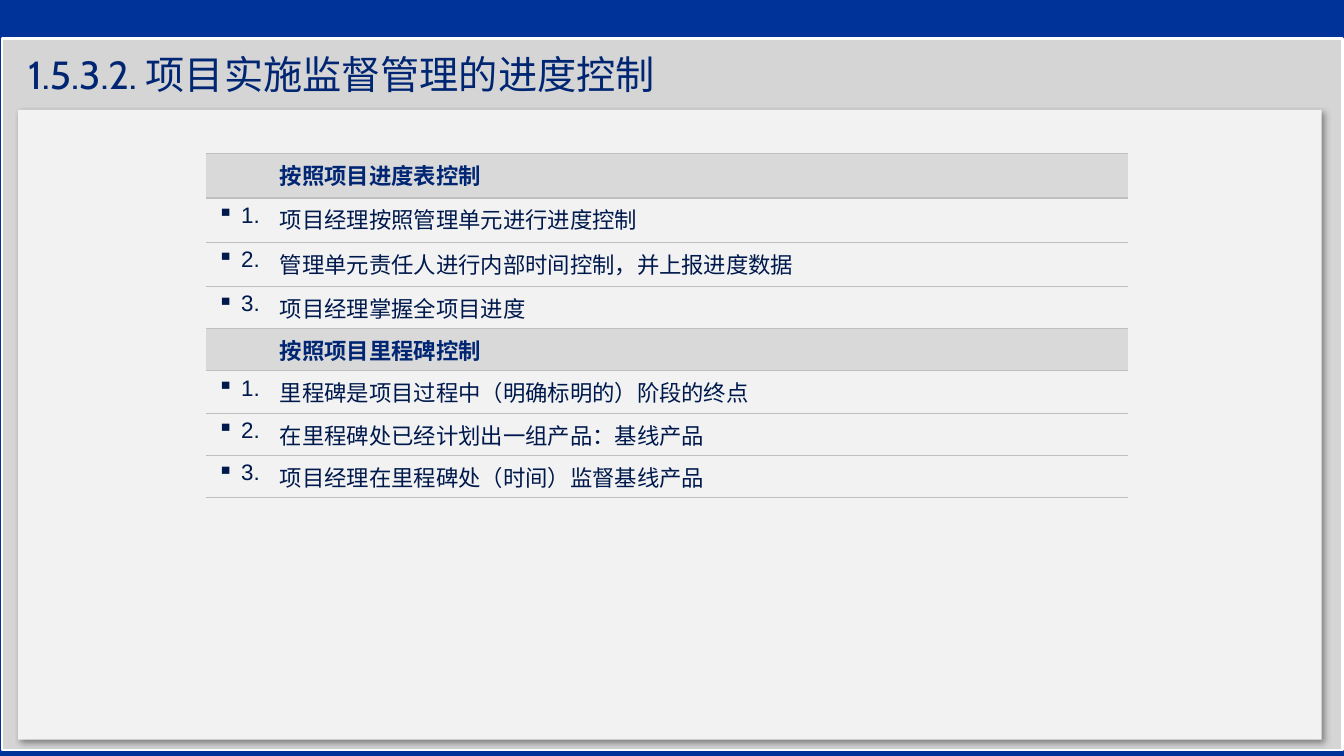
from lxml import etree
from pptx import Presentation
from pptx import util as u
from pptx.dml.color import RGBColor
from pptx.enum import shapes, text
from pptx.oxml.ns import qn

BLUE = RGBColor(0x00, 0x33, 0x99)
FRAME_GRAY = RGBColor(0xD5, 0xD5, 0xD5)
PANEL_GRAY = RGBColor(0xF2, 0xF2, 0xF2)
HEADER_GRAY = RGBColor(0xD9, 0xD9, 0xD9)
RULE_GRAY = RGBColor(0xBF, 0xBF, 0xBF)
WHITE = RGBColor(0xFF, 0xFF, 0xFF)
BLACK = RGBColor(0x00, 0x00, 0x00)
TITLE_NAVY = RGBColor(0x00, 0x26, 0x73)
BODY_NAVY = RGBColor(0x00, 0x19, 0x4C)

SECTIONS = [
    ("按照项目进度表控制", [
        "项目经理按照管理单元进行进度控制",
        "管理单元责任人进行内部时间控制，并上报进度数据",
        "项目经理掌握全项目进度",
    ]),
    ("按照项目里程碑控制", [
        "里程碑是项目过程中（明确标明的）阶段的终点",
        "在里程碑处已经计划出一组产品：基线产品",
        "项目经理在里程碑处（时间）监督基线产品",
    ]),
]


def add_xml(parent, tag, **attrs):
    return etree.SubElement(parent, qn(tag), {k: str(v) for k, v in attrs.items()})


class SlideBuilder:
    title_font, body_font = "Cabin", "Arial"
    title_size, body_size = 28, 16
    bullet_indent = 17

    def __init__(self, prs):
        self.slide = prs.slides.add_slide(prs.slide_layouts[6])

    def background(self, color):
        fill = self.slide.background.fill
        fill.solid()
        fill.fore_color.rgb = color

    def rect(self, x, y, w, h, color, line=None):
        sp = self.slide.shapes.add_shape(
            shapes.MSO_SHAPE.RECTANGLE, u.Pt(x), u.Pt(y), u.Pt(w), u.Pt(h))
        sp.shadow.inherit = False
        sp.fill.solid()
        sp.fill.fore_color.rgb = color
        if line is None:
            sp.line.fill.background()
        else:
            sp.line.color.rgb = line
            sp.line.width = u.Pt(2)
        return sp

    def shadow(self, sp, blur, dist, angle, alpha):
        effects = sp._element.spPr.find(qn("a:effectLst"))
        outer = add_xml(effects, "a:outerShdw", blurRad=u.Pt(blur), dist=u.Pt(dist),
                        dir=angle * 60000, algn="tl", rotWithShape=0)
        color = add_xml(outer, "a:srgbClr", val=BLACK)
        add_xml(color, "a:alpha", val=alpha * 1000)

    def style(self, p, font, size, color, bold=False):
        for r in p.runs:
            r.font.name = font
            r.font.size = u.Pt(size)
            r.font.color.rgb = color
            r.font.bold = bold

    def title(self, x, y, w, h, words):
        tf = self.slide.shapes.add_textbox(u.Pt(x), u.Pt(y), u.Pt(w), u.Pt(h)).text_frame
        tf.word_wrap = True
        tf.vertical_anchor = text.MSO_ANCHOR.MIDDLE
        tf.text = words
        self.style(tf.paragraphs[0], self.title_font, self.title_size, TITLE_NAVY)

    def bullet(self, p):
        pPr = p._p.get_or_add_pPr()
        pPr.set("marL", str(u.Pt(self.bullet_indent)))
        pPr.set("indent", str(-u.Pt(self.bullet_indent)))
        add_xml(pPr, "a:buChar", char="▪")

    def cell(self, cell, words, color, bold=False, fill=None):
        """Write one cell, ruled above and below only."""
        tcPr = cell._tc.get_or_add_tcPr()
        for side in ("a:lnL", "a:lnR"):
            add_xml(add_xml(tcPr, side, w=0), "a:noFill")
        for side in ("a:lnT", "a:lnB"):
            paint = add_xml(add_xml(tcPr, side, w=u.Pt(1)), "a:solidFill")
            add_xml(paint, "a:srgbClr", val=RULE_GRAY)
        if fill is None:
            cell.fill.background()
        else:
            cell.fill.solid()
            cell.fill.fore_color.rgb = fill
        p = cell.text_frame.paragraphs[0]
        p.text = words
        self.style(p, self.body_font, self.body_size, color, bold)
        return p

    def section_table(self, x, y, widths, heights, sections):
        table = self.slide.shapes.add_table(
            len(heights), len(widths), u.Pt(x), u.Pt(y),
            u.Pt(sum(widths)), u.Pt(sum(heights))).table
        table.first_row = table.horz_banding = False
        for column, width in zip(table.columns, widths):
            column.width = u.Pt(width)
        for row, height in zip(table.rows, heights):
            row.height = u.Pt(height)
        rows = iter(table.rows)
        for heading, items in sections:
            number, body = next(rows).cells
            self.cell(number, "", TITLE_NAVY, fill=HEADER_GRAY)
            self.cell(body, heading, TITLE_NAVY, bold=True, fill=HEADER_GRAY)
            for i, item in enumerate(items, 1):
                number, body = next(rows).cells
                p = self.cell(number, f"{i}.", BODY_NAVY)
                p.alignment = text.PP_ALIGN.RIGHT
                self.bullet(p)
                self.cell(body, item, BODY_NAVY)


def main():
    prs = Presentation()
    prs.slide_width, prs.slide_height = u.Pt(960), u.Pt(540)
    s = SlideBuilder(prs)
    s.background(BLUE)
    s.rect(1.4, 27.2, 957.3, 508.5, FRAME_GRAY, line=WHITE)
    panel = s.rect(13, 78.4, 931, 450, PANEL_GRAY)
    s.shadow(panel, blur=4, dist=3, angle=45, alpha=40)
    s.title(13, 34, 930, 38, "1.5.3.2. 项目实施监督管理的进度控制")
    s.section_table(147.4, 109.8, [45.4, 612.6], [31.6] * 3 + [30.2] * 5, SECTIONS)
    prs.save("out.pptx")


if __name__ == "__main__":
    main()
